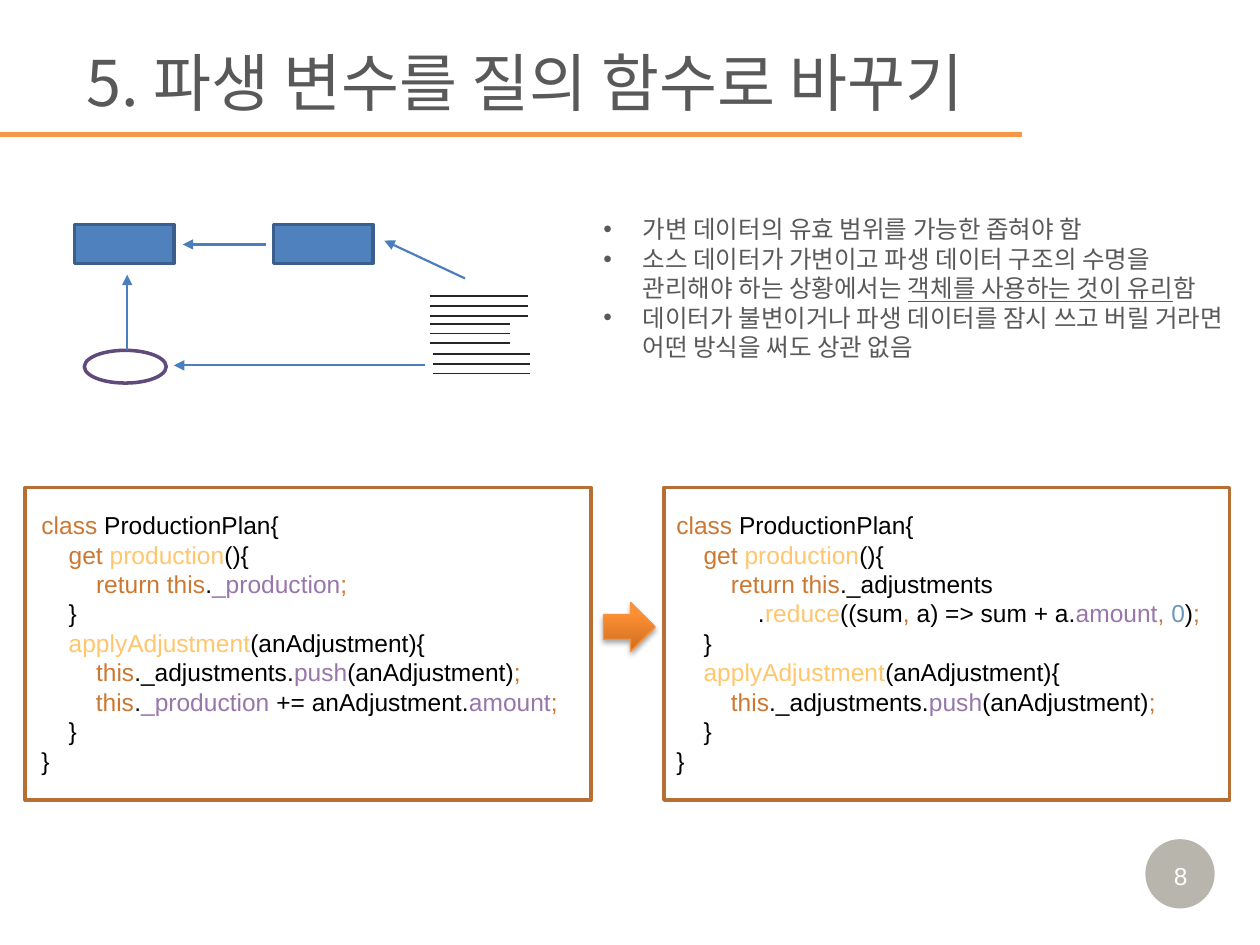
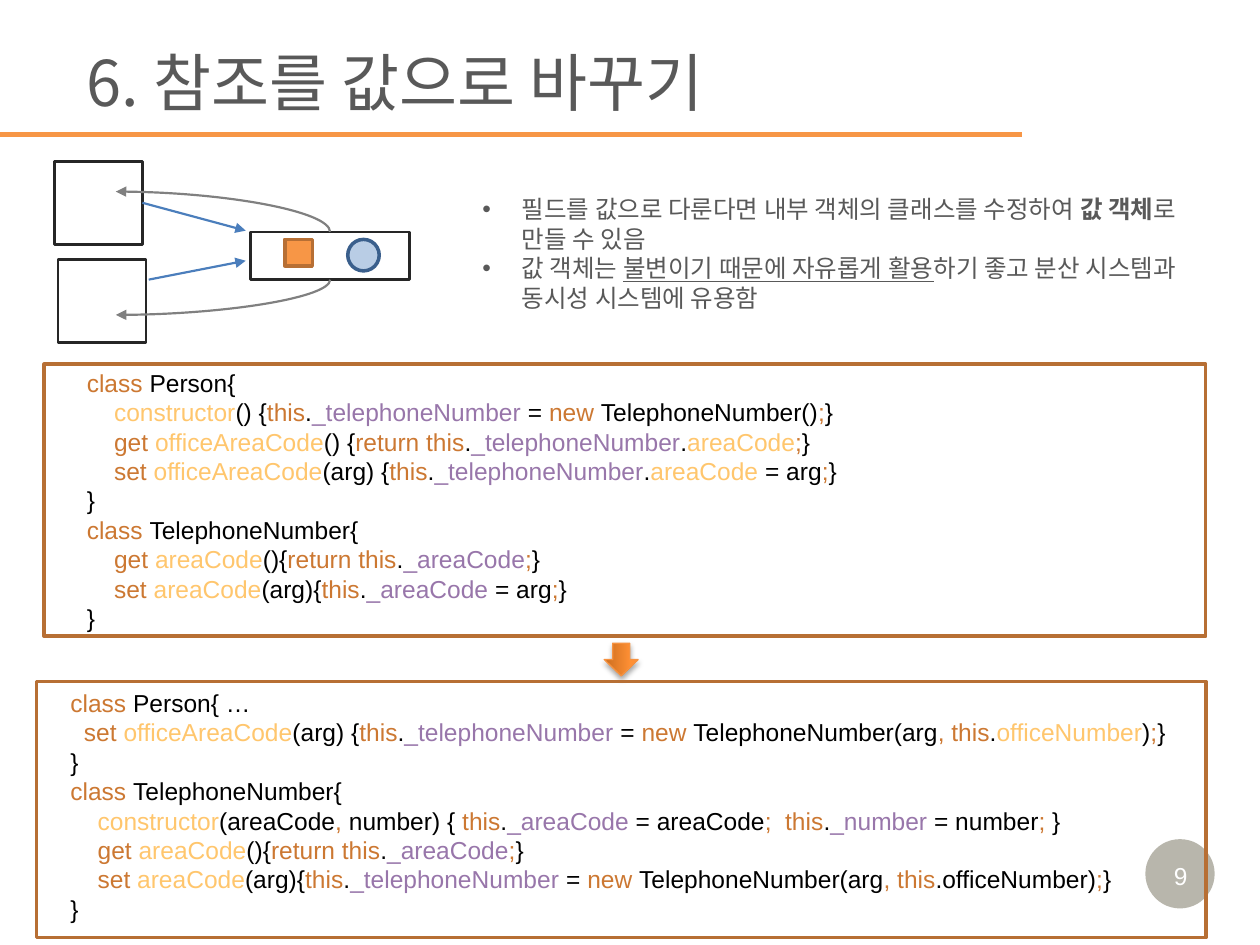
from lxml import etree
from pptx import Presentation
from pptx import util as u
from pptx.dml import color
from pptx.enum import shapes, text
from pptx.oxml.ns import qn

Pt = u.Pt
hue = color.RGBColor.from_string
kinds = shapes.MSO_SHAPE
RECT, OVAL, ARROW = kinds.RECTANGLE, kinds.OVAL, kinds.RIGHT_ARROW

ORANGE, RUST, DARK = "F79646", "B76F34", "262626"
BLUE, NAVY, LINK, GRAY = "4F81BD", "3A5F8C", "4B7EBC", "808080"
SANS, KOREAN = "Arial", "Noto Sans CJK KR"

# Each run starts with ~ and one of these letters:
# k keyword, b basic, f function, v value, n number,
# g body, u underlined body, s strong body, w white
INK = {"k": "CC7832", "b": "000000", "f": "FFC66D", "v": "9876AA",
       "n": "6897BB", "g": "595959", "u": "595959", "s": "595959",
       "w": "FFFFFF"}


def box(kind, area, fill=None, line=None, weight=2):
    shape = slide.shapes.add_shape(kind, *map(Pt, area))
    shape.shadow.inherit = False
    if fill:
        shape.fill.solid()
        shape.fill.fore_color.rgb = hue(fill)
    else:
        shape.fill.background()
    if line:
        shape.line.color.rgb = hue(line)
        shape.line.width = Pt(weight)
    else:
        shape.line.fill.background()
    return shape


def write(area, lines, font, size, pitch=None, bullet=False):
    """Add a text box with one paragraph for each marked-up line."""
    frame = slide.shapes.add_textbox(*map(Pt, area)).text_frame
    frame.word_wrap = True
    for i, line in enumerate(lines):
        para = frame.paragraphs[0] if i == 0 else frame.add_paragraph()
        if pitch:
            para.line_spacing = Pt(pitch)
        if bullet:
            props = para._p.get_or_add_pPr()
            props.set("marL", str(Pt(22.5)))
            props.set("indent", str(Pt(-22.5)))
            etree.SubElement(props, qn("a:buFont"), typeface=SANS)
            etree.SubElement(props, qn("a:buChar"), char="•")
        for part in line.split("~")[1:]:
            run = para.add_run()
            run.text = part[1:]
            run.font.size = Pt(size)
            run.font.color.rgb = hue(INK[part[0]])
            run.font.name = font
            etree.SubElement(run._r.rPr, qn("a:ea"), typeface=font)
            if part[0] == "u":
                run.font.underline = True
            if part[0] == "s":
                run.font.bold = True
    return frame


# Three groups of three text strokes in the first diagram
strokes = [(left, top + 5.6 * row, right, top + 5.6 * row, DARK, 1, False)
           for left, right, top in [(245.5, 301.5, 169.2),
                                    (245.5, 291.6, 185),
                                    (247.7, 303.1, 202.3)]
           for row in range(3)]

pages = [
    {
        "num": 8,
        "title": "5. 파생 변수를 질의 함수로 바꾸기",
        "notes": (337.7, 117.4, 375.1, 94.3),
        "points": [
            "~g가변 데이터의 유효 범위를 가능한 좁혀야 함",
            "~g소스 데이터가 가변이고 파생 데이터 구조의 수명을 관리해야 하는 "
            "상황에서는 ~u객체를 사용하는 것이 유리~g함",
            "~g데이터가 불변이거나 파생 데이터를 잠시 쓰고 버릴 거라면 "
            "어떤 방식을 써도 상관 없음",
        ],
        "arrow": (344.9, 344.2, 29.5, 28.1, 0),
        "boxes": [
            (RECT, (42.5, 128.2, 56.9, 22.3), BLUE, NAVY),
            (RECT, (156.2, 128.2, 56.9, 22.3), BLUE, NAVY),
            (OVAL, (48.2, 200.2, 46.8, 18.7), None, "604A7B"),
        ],
        "lines": strokes + [
            (72.7, 200.2, 72.7, 157, LINK, 1.25, True),
            (151.9, 139.7, 104.4, 139.7, LINK, 1.25, True),
            (242.6, 208.8, 99.4, 208.8, LINK, 1.25, True),
            (265.7, 159.1, 219.6, 137.5, LINK, 1.25, True),
        ],
        "curves": [],
        "code": [
            ((14.4, 278.6, 323.3, 178.6), (16.6, 288, 316.8, 159.8), [
                "~kclass ~bProductionPlan{",
                "~b    ~kget ~fproduction~b(){",
                "~b        ~kreturn this~b.~v_production~k;",
                "~b    }",
                "~b    ~fapplyAdjustment~b(anAdjustment){",
                "~b        ~kthis~b._adjustments.~vpush~b(anAdjustment)~k;",
                "~k        this~b.~v_production ~b+= anAdjustment.~vamount~k;",
                "~b    }",
                "~b}",
            ]),
            ((379.4, 278.6, 323.3, 178.6), (379.4, 288, 315.4, 159.8), [
                "~kclass ~bProductionPlan{",
                "~b    ~kget ~fproduction~b(){",
                "~b        ~kreturn this~b._adjustments",
                "~b            .~freduce~b((sum~k, ~ba) => sum + a.~vamount"
                "~k, ~n0~b)~k;",
                "~b    }",
                "~b    ~fapplyAdjustment~b(anAdjustment){",
                "~b        ~kthis~b._adjustments.~vpush~b(anAdjustment)~k;",
                "~b    }",
                "~b}",
            ]),
        ],
    },
    {
        "num": 9,
        "title": "6. 참조를 값으로 바꾸기",
        "notes": (268.6, 90.7, 434.9, 108),
        "points": [
            "~g필드를 값으로 다룬다면 내부 객체의 클래스를 수정하여 "
            "~s값 객체~g로 만들 수 있음",
            "~g값 객체는 ~u불변이기 때문에 자유롭게 활용~g하기 좋고 "
            "분산 시스템과 동시성 시스템에 유용함",
        ],
        "arrow": (345.6, 367.2, 18.7, 19.4, 90),
        "boxes": [
            (OVAL, (198.7, 136.8, 18, 18), "B9CDE5", NAVY),
            (RECT, (162.7, 136.8, 15.8, 15.1), ORANGE, RUST),
            (RECT, (31, 92.2, 50.4, 47.5), None, DARK, 1.5),
            (RECT, (33.1, 148.3, 50.4, 47.5), None, DARK, 1.5),
            (RECT, (143.3, 132.5, 90.7, 27.4), None, DARK, 1.5),
        ],
        "lines": [
            (81.4, 115.9, 140.4, 131.8, LINK, 1.25, True),
            (85, 159.8, 140.4, 149, LINK, 1.25, True),
        ],
        # Ends before turning, then the turn in degrees
        "curves": [
            (117.4, 108.7, 137.5, 231.1, 90),
            (115.9, 182.2, 138.9, 59.8, 270),
        ],
        "code": [
            ((25.2, 208.1, 663.8, 155.5), (42.5, 206.6, 490.3, 159.8), [
                "~kclass ~bPerson{",
                "~b    ~fconstructor~b() {~kthis~b.~v_telephoneNumber ~b= "
                "~knew ~bTelephoneNumber()~k;~b}",
                "~b    ~kget ~fofficeAreaCode~b() {~kreturn this~b."
                "~v_telephoneNumber~b.~fareaCode~k;~b}",
                "~b    ~kset ~fofficeAreaCode~b(arg) {~kthis~b."
                "~v_telephoneNumber~b.~fareaCode ~b= arg~k;~b}",
                "~b}",
                "~kclass ~bTelephoneNumber{",
                "~b    ~kget ~fareaCode~b(){~kreturn this~b.~v_areaCode~k;~b}",
                "~b    ~kset ~fareaCode~b(arg){~kthis~b.~v_areaCode ~b= arg"
                "~k;~b}",
                "~b}",
            ]),
            ((20.9, 389.5, 668.2, 146.2), (33.1, 389.5, 642.2, 143.3), [
                "~kclass ~bPerson{ …",
                "~b  ~kset ~fofficeAreaCode~b(arg) {~kthis~b."
                "~v_telephoneNumber ~b= ~knew ~bTelephoneNumber(arg~k, this"
                "~b.~fofficeNumber~b)~k;~b}",
                "~b}",
                "~kclass ~bTelephoneNumber{",
                "~b    ~fconstructor~b(areaCode~k, ~bnumber) { ~kthis~b."
                "~v_areaCode ~b= areaCode~k;  this~b.~v_number ~b= number"
                "~k; ~b}",
                "~b    ~kget ~fareaCode~b(){~kreturn this~b.~v_areaCode~k;~b}",
                "~b    ~kset ~fareaCode~b(arg){~kthis~b.~v_telephoneNumber "
                "~b= ~knew ~bTelephoneNumber(arg~k, this~b.officeNumber)"
                "~k;~b}",
                "~b}",
            ]),
        ],
    },
]

deck = Presentation()
deck.slide_width, deck.slide_height = Pt(720), Pt(540)

for page in pages:
    slide = deck.slides.add_slide(deck.slide_layouts[6])

    # Page number on its translucent disc
    disc = box(OVAL, (654.5, 479.5, 39.6, 39.6), "4A452A")
    tint = disc._element.spPr.find(".//" + qn("a:srgbClr"))
    etree.SubElement(tint, qn("a:alpha"), val="39000")
    num = write((658.8, 488.2, 31.7, 24.5), [f"~w{page['num']}"], SANS, 14)
    num.word_wrap = False
    num.paragraphs[0].alignment = text.PP_ALIGN.CENTER

    # Title and points
    head = write((42.5, 20.9, 677.5, 51.1), ["~g" + page["title"]], KOREAN, 36)
    body = write(page["notes"], page["points"], KOREAN, 14, 16.8, True)
    for frame in (head, body):
        frame.vertical_anchor = text.MSO_ANCHOR.MIDDLE

    # Block arrow from the old code to the new
    *area, turn = page["arrow"]
    arrow = box(ARROW, area, None, "F69240", 0.75)
    arrow.rotation = turn
    arrow.fill.gradient()
    arrow.fill.gradient_angle = 90
    for stop, tone, place in zip(arrow.fill.gradient_stops,
                                 ("CC6E20", "FF9034"), (0, 0.8)):
        stop.color.rgb = hue(tone)
        stop.position = place
    glow = etree.SubElement(
        arrow._element.spPr.find(qn("a:effectLst")), qn("a:outerShdw"),
        blurRad=str(Pt(3.1)), dist=str(Pt(1.8)), dir="5400000",
        rotWithShape="0")
    tint = etree.SubElement(glow, qn("a:srgbClr"), val="000000")
    etree.SubElement(tint, qn("a:alpha"), val="35000")

    # Framed code
    for edge, area, code in page["code"]:
        box(RECT, edge, None, RUST)
        write(area, code, SANS, 14, 16.8)

    # Diagram, and the rule under the title
    for item in page["boxes"]:
        box(*item)
    rule = (0, 77, 583.9, 77, ORANGE, 3, False)
    wires = [(*line, None) for line in [rule] + page["lines"]]
    wires += [(*ends, GRAY, 1.25, True, turn)
              for *ends, turn in page["curves"]]
    for *ends, tone, weight, tip, turn in wires:
        form = shapes.MSO_CONNECTOR.CURVE if turn else shapes.MSO_CONNECTOR.STRAIGHT
        wire = slide.shapes.add_connector(form, *map(Pt, ends))
        wire.line.color.rgb = hue(tone)
        wire.line.width = Pt(weight)
        props = wire._element.spPr
        etree.SubElement(props, qn("a:effectLst"))
        if tip:
            etree.SubElement(props.find(qn("a:ln")), qn("a:tailEnd"),
                             type="triangle")
        if turn:
            props.find(qn("a:xfrm")).set("rot", str(turn * 60000))
            props.find(qn("a:prstGeom")).set("prst", "curvedConnector2")

deck.save("out.pptx")
